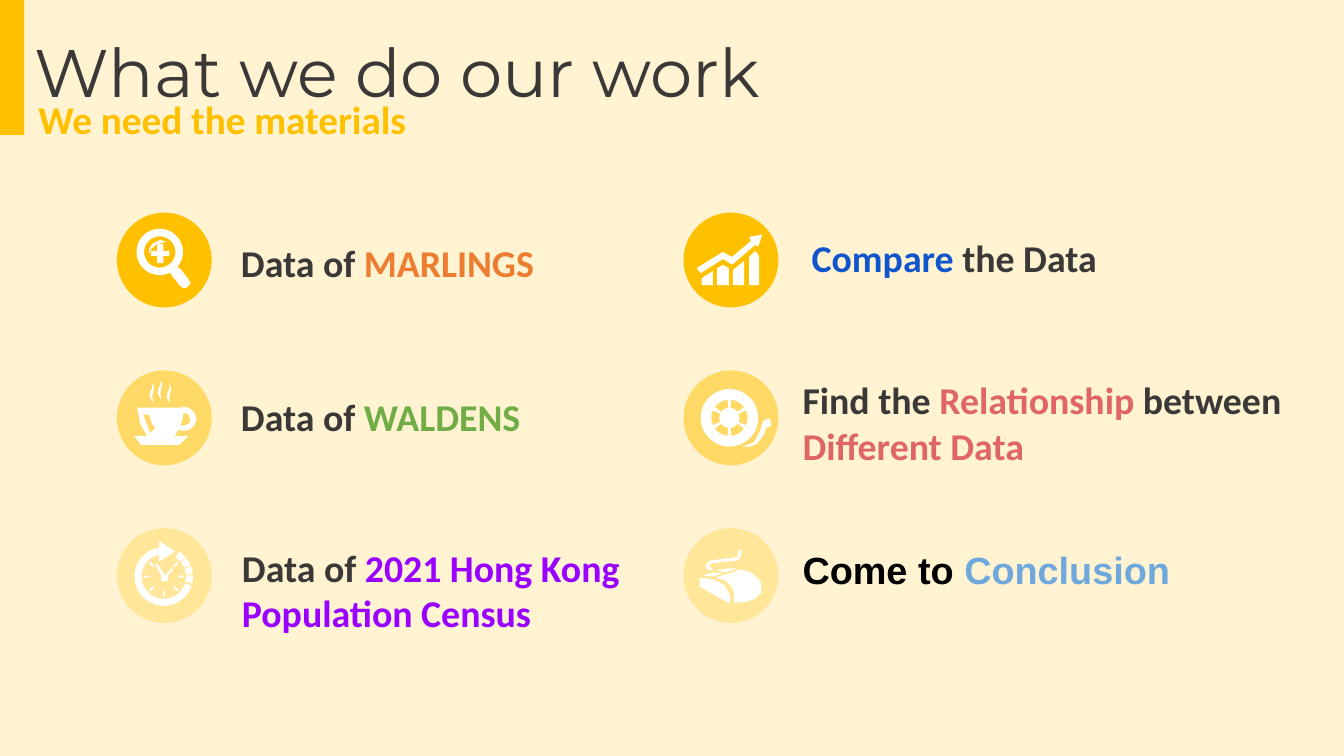
from dataclasses import dataclass
from math import cos, radians, sin

from pptx import Presentation
from pptx.dml.color import RGBColor
from pptx.enum.shapes import MSO_SHAPE
from pptx.enum.text import MSO_ANCHOR, MSO_AUTO_SIZE, PP_ALIGN
from pptx.util import Inches, Pt

RECTANGLE, OVAL = MSO_SHAPE.RECTANGLE, MSO_SHAPE.OVAL
TOP, LEFT = MSO_ANCHOR.TOP, PP_ALIGN.LEFT
GROW = MSO_AUTO_SIZE.SHAPE_TO_FIT_TEXT

Point = tuple[float, float]
Contour = list[Point]


@dataclass(frozen=True)
class Theme:
    background: str = "FFF3D1"
    gold: str = "FFC000"
    soft_gold: str = "FFD966"
    pale_gold: str = "FFE699"
    white: str = "FFFFFF"
    black: str = "000000"
    ink: str = "3B3838"
    orange: str = "ED7D31"
    green: str = "70AD47"
    purple: str = "9900FF"
    blue: str = "1155CC"
    red: str = "E06666"
    sky: str = "6FA8DC"
    title_font: str = "Montserrat"
    text_font: str = "Calibri"
    closing_font: str = "Arial"
    title_size: int = 48
    subtitle_size: int = 28
    caption_size: int = 27


@dataclass(frozen=True)
class Span:
    text: str
    colour: str


@dataclass(frozen=True)
class Step:
    icon: list[Contour]
    area: tuple[float, float, float, float]
    spans: list[Span]
    font: str


THEME = Theme()
DISC_SIZE = 0.94
COLUMN_LEFTS = (1.16, 6.78)
FIRST_ROW_TOP = 2.11
ROW_PITCH = 3.13 / 2
ROW_COLOURS = (THEME.gold, THEME.soft_gold, THEME.pale_gold)


def arc(centre: Point, radius: float, start: float, end: float) -> Contour:
    count = max(2, int(abs(end - start) / 6))
    angles = [radians(start + (end - start) * i / count) for i in range(count + 1)]
    return [(centre[0] + radius * cos(a), centre[1] + radius * sin(a)) for a in angles]


def sector(centre: Point, inner: float, outer: float, start: float, end: float) -> Contour:
    return arc(centre, outer, start, end) + arc(centre, inner, end, start)


def shifted(contour: Contour, right: float, down: float) -> Contour:
    return [(x + right, y + down) for x, y in contour]


LENS, REEL, DIAL = (-4.5, -8), (-1.5, 0), (-0.5, 1)
WISP = [(6, -14), (2.5, -20), (3, -25), (5, -28), (5, -33), (7, -29), (6, -25), (5, -20)]

MAGNIFIER = [
    arc(LENS, 23, 63, 400) + [(17, 10), (24, 19), (26, 23), (23, 27), (19, 28), (16, 26), (8, 16)],
    arc(LENS, 15.5, 0, 360),
    [(-7, -16), (-1, -16), (-1, -9), (5, -9), (5, -4), (-1, -4),
     (-1, 3), (-7, 3), (-7, -4), (-13, -4), (-13, -9), (-7, -9)],
    [(-15, -6), (-13, -11), (-7, -16), (2, -18), (-4, -20), (-12, -16), (-15, -11)],
]
CUP = [
    [(-27, -10), (17, -10), (19, -11), (25, -9.5), (30, -5), (32, 2), (30, 7), (25, 12),
     (19, 13), (14, 12), (10, 18), (24, 18), (15, 27), (-23, 27), (-30, 18), (-17, 18),
     (-24, 6)],
    [(19, -5), (18, 2), (16, 7), (19, 8), (24, 6), (26, 2), (24, -3)],
    [(-21, -3), (-14, 15), (-9, 11), (-13, 4), (-15, -3)],
    *[shifted(WISP, *offset) for offset in ((0, 0), (-9, -4), (-17, -1))],
]
CLOCK = [
    arc(DIAL, 29, 18, 261) + [(-5, -34), (11, -24), (-5, -14), (-5, -21)] + arc(DIAL, 22, 258, 18),
    *[sector(DIAL, 22, 29, -58 + 18.5 * i, -42 + 18.5 * i) for i in range(4)],
    *[sector(DIAL, 14, 20, angle - 3, angle + 3) for angle in range(-45, 226, 45)],
    [(-9, -11), (-7, -12), (0, -1), (2, -1), (7, -7), (9, -6), (3, 1), (4, 2), (3, 5),
     (0, 6), (-3, 5), (-3, 0)],
]
GROWTH_CHART = [
    [(-34, 8), (-8, -8), (1, -3), (20, -19), (18, -23), (31, -25), (27, -13), (24, -15),
     (2, 4), (0, 4), (-8, -1), (-30, 13)],
    [(-29, 18), (-18, 11), (-18, 25), (-29, 25)],
    [(-14, 8), (-8, 5), (-2, 8), (-2, 25), (-14, 25)],
    [(2, 10), (13, 1), (13, 25), (2, 25)],
    [(18, -3), (24, -9), (28, -4), (28, 25), (18, 25)],
]
FILM_REEL = [
    arc(REEL, 28.5, 0, 360),
    *[sector(REEL, 10, 18, angle - 24, angle + 24) for angle in range(0, 360, 60)],
    [(11, 29), (19, 28.5), (25.5, 26), (32, 18), (35, 10), (40, 8), (39, 1), (34, 1.5),
     (31.5, 4), (29, 13), (23, 24)],
]
MOUSE = [
    [(3, 17), (0, 10), (-6, 5), (-15, 2), (10, -6), (20, -3), (27, 3), (30, 8), (30, 17),
     (24, 23), (15, 26), (3, 27)],
    [(-22, -5), (-18, -6), (-22, -10), (-19, -12), (-4, -14), (0, -14), (7, -15), (10, -19),
     (10, -26), (7, -25), (7, -19), (0, -17), (-4, -17), (-20, -15), (-24, -12), (-25, -8)],
    [(-19, 1), (-8, -2), (-18, -3), (-28, 0)],
    [(-14, -5), (-5, -3), (6, -7), (-4, -7)],
    [(-31, 2), (-31, 11), (-1, 28), (-1, 19), (-7, 9), (-17, 4)],
]

STEPS = [
    Step(MAGNIFIER, (2.34, 2.33, 3.54, 0.56),
         [Span("Data of ", THEME.ink), Span("MARLINGS", THEME.orange)], THEME.text_font),
    Step(GROWTH_CHART, (8, 2.28, 3.19, 0.56),
         [Span("Compare", THEME.blue), Span(" the Data", THEME.ink)], THEME.text_font),
    Step(CUP, (2.34, 3.86, 3.19, 1.01),
         [Span("Data of ", THEME.ink), Span("WALDENS", THEME.green)], THEME.text_font),
    Step(FILM_REEL, (7.91, 3.69, 5.19, 1.01),
         [Span("Find the ", THEME.ink), Span("Relationship ", THEME.red),
          Span("between ", THEME.ink), Span("Different Data", THEME.red)], THEME.text_font),
    Step(CLOCK, (2.35, 5.35, 4.17, 1.46),
         [Span("Data of ", THEME.ink), Span("2021 Hong Kong Population Census", THEME.purple)],
         THEME.text_font),
    Step(MOUSE, (7.91, 5.37, 3.9, 0.56),
         [Span("Come to ", THEME.black), Span("Conclusion", THEME.sky)], THEME.closing_font),
]


def paint(shape, colour: str) -> None:
    shape.shadow.inherit = False
    shape.fill.solid()
    shape.fill.fore_color.rgb = RGBColor.from_string(colour)
    shape.line.fill.background()


def write(box, spans: list[Span], font: str, size: int, bold: bool) -> None:
    frame = box.text_frame
    frame_format = {"word_wrap": True, "auto_size": GROW, "vertical_anchor": TOP}
    frame_format |= {f"margin_{side}": Inches(0.05) for side in ("left", "top", "right", "bottom")}
    for name, value in frame_format.items():
        setattr(frame, name, value)
    para = frame.paragraphs[0]
    para.alignment = LEFT
    for span in spans:
        run = para.add_run()
        run.text = span.text
        for name, value in {"name": font, "size": Pt(size), "bold": bold}.items():
            setattr(run.font, name, value)
        run.font.color.rgb = RGBColor.from_string(span.colour)


def draw_icon(page, icon: list[Contour], left: float, top: float, colour: str) -> None:
    shapes = page.shapes.add_group_shape().shapes
    size = Inches(DISC_SIZE)
    paint(shapes.add_shape(OVAL, Inches(left), Inches(top), size, size), colour)
    middle_x, middle_y = left + DISC_SIZE / 2, top + DISC_SIZE / 2
    contours = [[(Inches(middle_x + x / 100), Inches(middle_y + y / 100)) for x, y in contour]
                for contour in icon]
    builder = shapes.build_freeform(*contours[0][0])
    for contour in contours:
        builder.move_to(*contour[0])
        builder.add_line_segments(contour[1:], close=True)
    paint(builder.convert_to_shape(), THEME.white)


def main() -> None:
    deck = Presentation()
    deck.slide_width, deck.slide_height = Inches(13.33), Inches(7.5)
    page = deck.slides.add_slide(deck.slide_layouts[5])
    page.background.fill.solid()
    page.background.fill.fore_color.rgb = RGBColor.from_string(THEME.background)
    paint(page.shapes.add_shape(RECTANGLE, 0, 0, Inches(0.24), Inches(1.34)), THEME.gold)

    title = page.shapes.title
    for name, value in {"left": 0.29, "top": 0.25, "width": 7.83, "height": 1.04}.items():
        setattr(title, name, Inches(value))
    write(title, [Span("What we do our work", THEME.ink)], THEME.title_font, THEME.title_size, False)
    subtitle = page.shapes.add_textbox(*map(Inches, (0.33, 0.9, 3.77, 0.49)))
    write(subtitle, [Span("We need the materials", THEME.gold)],
          THEME.text_font, THEME.subtitle_size, True)

    for index, step in enumerate(STEPS):
        row, column = divmod(index, len(COLUMN_LEFTS))
        draw_icon(page, step.icon, COLUMN_LEFTS[column], FIRST_ROW_TOP + row * ROW_PITCH,
                  ROW_COLOURS[row])
        caption = page.shapes.add_textbox(*map(Inches, step.area))
        write(caption, step.spans, step.font, THEME.caption_size, True)
    deck.save("out.pptx")


if __name__ == "__main__":
    main()
